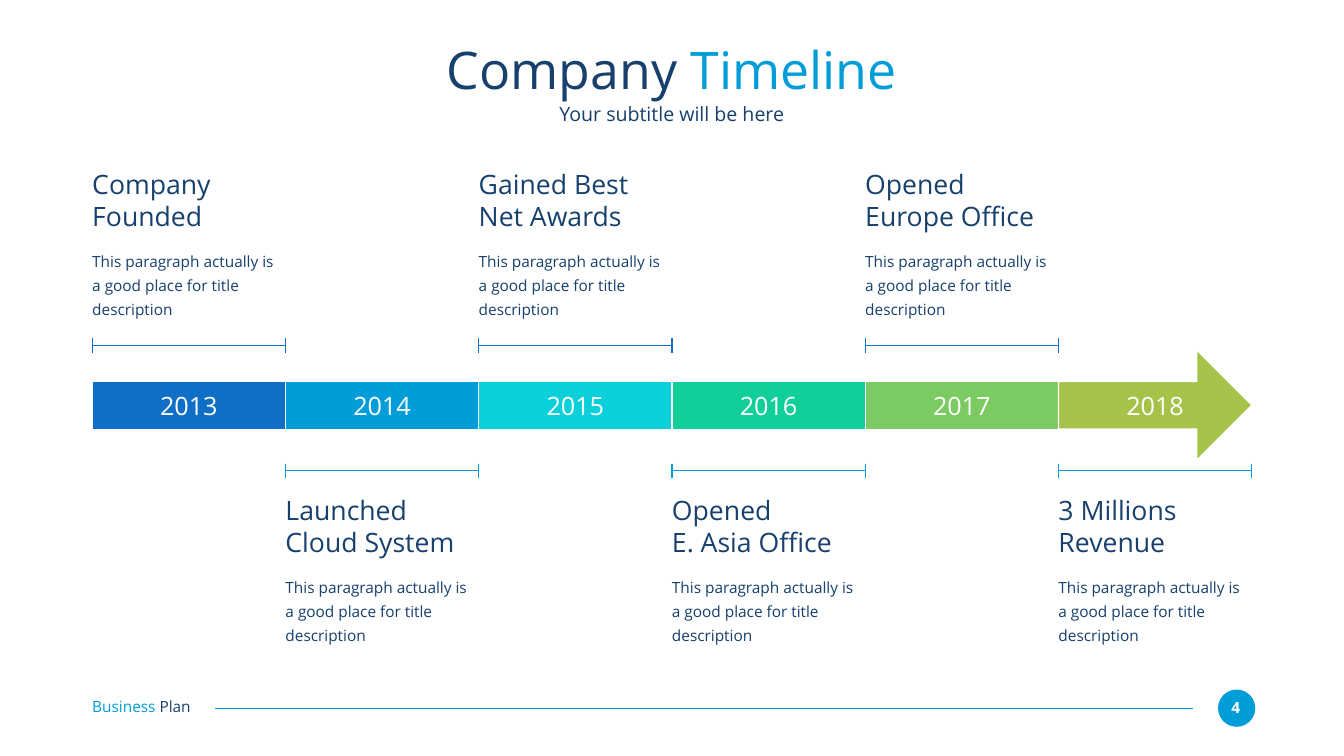
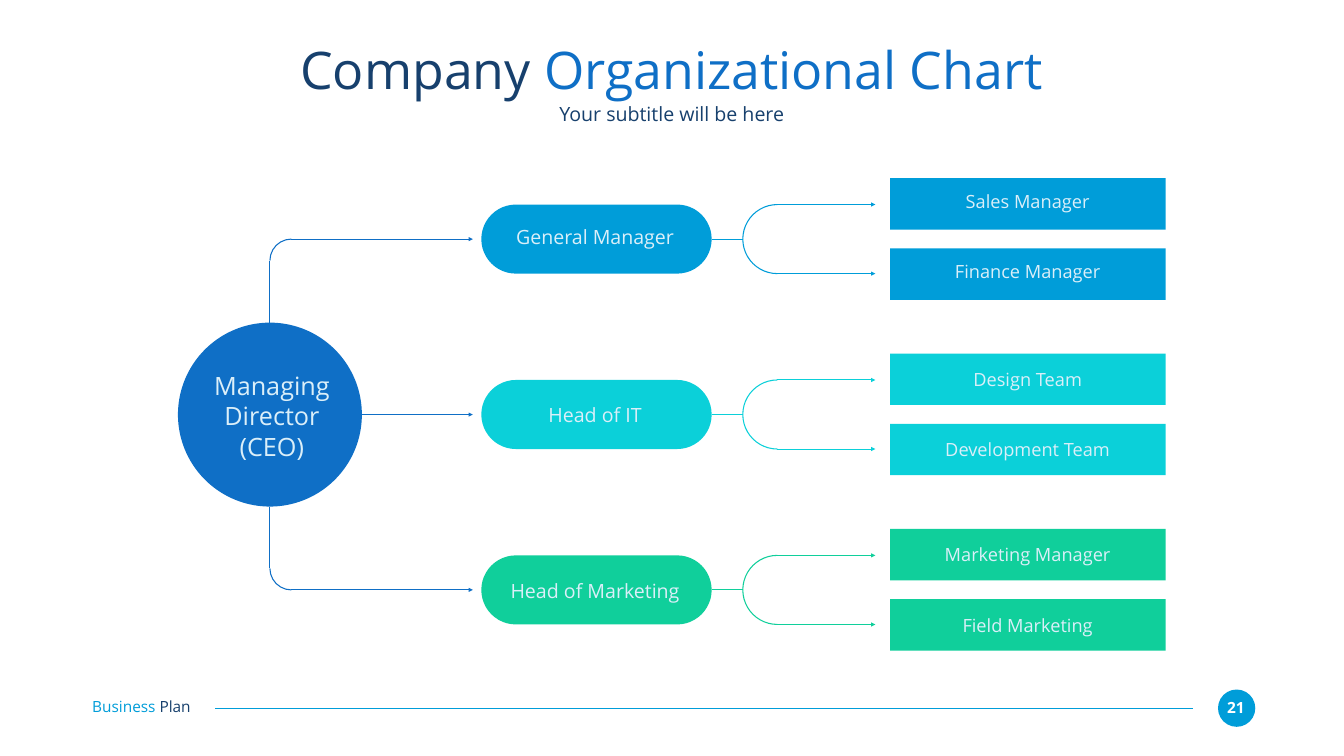
from dataclasses import dataclass

from lxml import etree
from pptx import Presentation
from pptx.dml.color import RGBColor
from pptx.enum import shapes, text
from pptx.oxml.ns import qn
from pptx.util import Cm, Pt

SHAPE = shapes.MSO_SHAPE
CENTER = text.PP_ALIGN.CENTER


@dataclass(frozen=True)
class Theme:
    font: str = "Open Sans"
    navy: str = "17406D"
    blue: str = "0F6FC6"
    sky: str = "009DD9"
    cyan: str = "0BD0D9"
    teal: str = "10CF9B"
    green: str = "7CCA62"
    olive: str = "A5C249"
    white: str = "FFFFFF"
    pale: str = "DBEFF9"
    title: int = 74
    heading: int = 38
    large: int = 36
    medium: int = 28
    label: int = 26
    small: int = 22
    stroke: float = 1.5


@dataclass(frozen=True)
class Box:
    """A rectangle in centimetres."""
    left: float
    top: float
    width: float
    height: float

    @property
    def middle(self):
        return self.top + self.height / 2

    @property
    def right(self):
        return self.left + self.width

    @property
    def bottom(self):
        return self.top + self.height

    def inner(self, dx, dy, width, height):
        return Box(self.left + dx, self.top + dy, width, height)

    def emu(self):
        return [Cm(v) for v in (self.left, self.top, self.width, self.height)]


THEME = Theme()
PAGE = Box(0, 0, 67.74, 38.1)
HEADER = Box(4.65, 1.85, 58.42, 4.55)
FOOTER = Box(4.65, 34.75, 58.62, 1.88)


# Drawing helpers

def rgb(color):
    return RGBColor.from_string(color)


def write(frame, paragraphs, size=THEME.small, color=THEME.navy, bold=False,
          align=None, spacing=None, anchor=text.MSO_ANCHOR.TOP):
    """Fill a frame; a paragraph is a string or a list of (words, color)."""
    frame.word_wrap = True
    frame.auto_size = text.MSO_AUTO_SIZE.NONE
    frame.vertical_anchor = anchor
    frame.margin_left = frame.margin_right = 0
    frame.margin_top = frame.margin_bottom = 0
    for index, content in enumerate(paragraphs):
        para = frame.add_paragraph() if index else frame.paragraphs[0]
        para.alignment = align
        para.line_spacing = spacing
        spans = [(content, color)] if isinstance(content, str) else content
        for words, tint in spans:
            span = para.add_run()
            span.text = words
            span.font.name = THEME.font
            span.font.size = Pt(size)
            span.font.bold = bold
            span.font.color.rgb = rgb(tint)


def add_text(page, box, paragraphs, **style):
    write(page.shapes.add_textbox(*box.emu()).text_frame, paragraphs, **style)


def add_shape(page, kind, box, fill=None, line=None, adjust=()):
    shape = page.shapes.add_shape(kind, *box.emu())
    shape.shadow.inherit = False
    for index, value in enumerate(adjust):
        shape.adjustments[index] = value
    if fill:
        shape.fill.solid()
        shape.fill.fore_color.rgb = rgb(fill)
    else:
        shape.fill.background()
    if line:
        shape.line.color.rgb = rgb(line)
        shape.line.width = Pt(THEME.stroke)
    else:
        shape.line.fill.background()


def add_line(parent, start, end, color, arrow=False):
    line = parent.shapes.add_connector(
        shapes.MSO_CONNECTOR.STRAIGHT, *(Cm(v) for v in (*start, *end)))
    line.line.color.rgb = rgb(color)
    line.line.width = Pt(THEME.stroke)
    properties = line.element.spPr
    if arrow:
        etree.SubElement(properties.find(qn("a:ln")), qn("a:tailEnd"),
                         type="triangle")
    etree.SubElement(properties, qn("a:effectLst"))


# Shared regions

def add_header(page, box, accent, accent_color):
    title = page.shapes.title
    title.left, title.top, title.width, title.height = box.inner(
        0, 0, box.width, 3.23).emu()
    write(title.text_frame,
          [[("Company ", THEME.navy), (accent, accent_color)]],
          size=THEME.title, align=CENTER, anchor=text.MSO_ANCHOR.MIDDLE)
    add_text(page, box.inner(0, 3.31, box.width, 1.24),
             ["Your subtitle will be here"], size=THEME.medium, align=CENTER)


def add_footer(page, box, number):
    badge = box.inner(box.width - box.height, 0, box.height, box.height)
    add_shape(page, SHAPE.OVAL, badge, THEME.sky)
    add_text(page, badge.inner(0.15, 0.43, 1.5, 0.94), [str(number)],
             color=THEME.white, bold=True, align=CENTER)
    add_line(page, (badge.left - 1.27, box.middle),
             (box.left + 6.2, box.middle), THEME.sky)
    add_text(page, box.inner(0, 0.4, 6.58, 0.94),
             [[("Business ", THEME.sky), ("Plan", THEME.navy)]])


def add_page(deck, number, accent, accent_color):
    page = deck.slides.add_slide(deck.slide_layouts[5])
    add_header(page, HEADER, accent, accent_color)
    add_footer(page, FOOTER, number)
    return page


# Timeline

MILESTONES = [
    ("2013", ["Company Founded"], THEME.blue),
    ("2014", ["Launched Cloud System"], THEME.sky),
    ("2015", ["Gained Best", "Net Awards"], THEME.cyan),
    ("2016", ["Opened", "E. Asia Office"], THEME.teal),
    ("2017", ["Opened", "Europe Office"], THEME.green),
    ("2018", ["3 Millions", "Revenue"], THEME.olive),
]


def add_year(page, box, year, color, last):
    if last:
        add_shape(page, SHAPE.RIGHT_ARROW, box.inner(0, -1.6, box.width, 5.54),
                  color, THEME.white, (0.43, 0.5))
    else:
        add_shape(page, SHAPE.RECTANGLE, box, color, THEME.white)
    add_text(page, box.inner(0, 0.41, box.width, 1.55), [year],
             size=THEME.large, color=THEME.white, align=CENTER)


def add_bracket(page, box, color):
    group = page.shapes.add_group_shape()
    add_line(group, (box.left, box.middle), (box.right, box.middle), color)
    for x in (box.left, box.right):
        add_line(group, (x, box.top), (x, box.bottom), color)


def add_milestone(page, box, heading):
    add_text(page, box.inner(0, 0, box.width, 3.25), heading,
             size=THEME.heading)
    add_text(page, box.inner(0, 3.95, box.width, 3.66),
             ["This paragraph actually is a good place for title description"],
             spacing=1.3)


def add_timeline(page, box):
    step = box.width / len(MILESTONES)
    for index, (year, heading, color) in enumerate(MILESTONES):
        x = index * step
        below = index % 2
        add_year(page, box.inner(x, 10.77, step, 2.39), year, color,
                 index == len(MILESTONES) - 1)
        add_bracket(page, box.inner(x, 14.88 if below else 8.57, step, 0.74),
                    THEME.sky if below else THEME.blue)
        add_milestone(page, box.inner(x, 16.41 if below else 0, step, 7.61),
                      heading)


# Organizational chart

# Each branch: head, its reports, colour, and how far its labels sit higher
BRANCHES = [
    ("General Manager", ["Sales Manager", "Finance Manager"], THEME.sky, 0.15),
    ("Head of IT", ["Design Team", "Development Team"], THEME.cyan, 0),
    ("Head of Marketing", ["Marketing Manager", "Field Marketing"],
     THEME.teal, 0),
]


def add_director(page, box):
    add_shape(page, SHAPE.OVAL, box, THEME.blue)
    add_text(page, box.inner(0.48, 2.41, 8.51, 4.62),
             ["Managing Director", "(CEO)"],
             size=THEME.large, color=THEME.pale, align=CENTER)


def add_trunk(page, circle, tip, top, bottom):
    """Link the director's circle to the three heads."""
    x, bend = circle.left + circle.width / 2, 2.16
    turns = [
        (circle.top, top, top + bend / 2, top, (108, 162)),
        (circle.bottom, bottom, bottom - bend / 2, bottom - bend, (54, 108)),
    ]
    for start, end, corner, arc_top, angles in turns:
        add_line(page, (x, start), (x, corner), THEME.blue)
        add_shape(page, SHAPE.ARC, Box(x, arc_top, bend, bend),
                  line=THEME.blue, adjust=angles)
        add_line(page, (x + bend / 2, end), (tip, end), THEME.blue, arrow=True)
    add_line(page, (circle.right, circle.middle), (tip, circle.middle),
             THEME.blue, arrow=True)


def add_branch(page, box, head, reports, color, lift):
    pill = box.inner(0, 0, 11.61, box.height)
    fork = box.inner(13.18, 0, box.height, box.height)
    add_shape(page, SHAPE.ROUNDED_RECTANGLE, pill, color, adjust=(0.5,))
    add_text(page, pill.inner(0.84, 1.17 - lift, 9.78, 1.19), [head],
             size=THEME.medium, color=THEME.pale, align=CENTER)
    add_line(page, (pill.right, pill.middle), (fork.left, pill.middle), color)
    add_shape(page, SHAPE.ARC, fork, line=color, adjust=(54, 162))
    for report, y, drop in zip(reports, (fork.top, fork.bottom), (-1.33, 2.21)):
        add_line(page, (fork.left + fork.width / 2, y), (box.left + 19.86, y),
                 color, arrow=True)
        leaf = box.inner(20.6, drop, 13.89, 2.59)
        add_shape(page, SHAPE.RECTANGLE, leaf, color)
        add_text(page, leaf.inner(2.05, 0.74 - lift, 9.78, 1.12), [report],
                 size=THEME.label, color=THEME.pale, align=CENTER)


def add_organization(page, box):
    pitch, height = 8.84, 3.48
    circle = box.inner(0, 7.24, 9.27, 9.27)
    rows = [box.inner(15.29, 1.29 + index * pitch, 34.49, height)
            for index in range(len(BRANCHES))]
    add_director(page, circle)
    add_trunk(page, circle, rows[0].left - 0.43, rows[0].middle,
              rows[-1].middle)
    for row, branch in zip(rows, BRANCHES):
        add_branch(page, row, *branch)


def main():
    deck = Presentation()
    deck.slide_width, deck.slide_height = Cm(PAGE.width), Cm(PAGE.height)
    timeline = add_page(deck, 4, "Timeline", THEME.sky)
    add_timeline(timeline, Box(4.65, 8.48, 58.44, 24.02))
    organization = add_page(deck, 21, "Organizational Chart", THEME.blue)
    add_organization(organization, Box(8.97, 9.02, 49.78, 23.77))
    deck.save("out.pptx")


if __name__ == "__main__":
    main()
